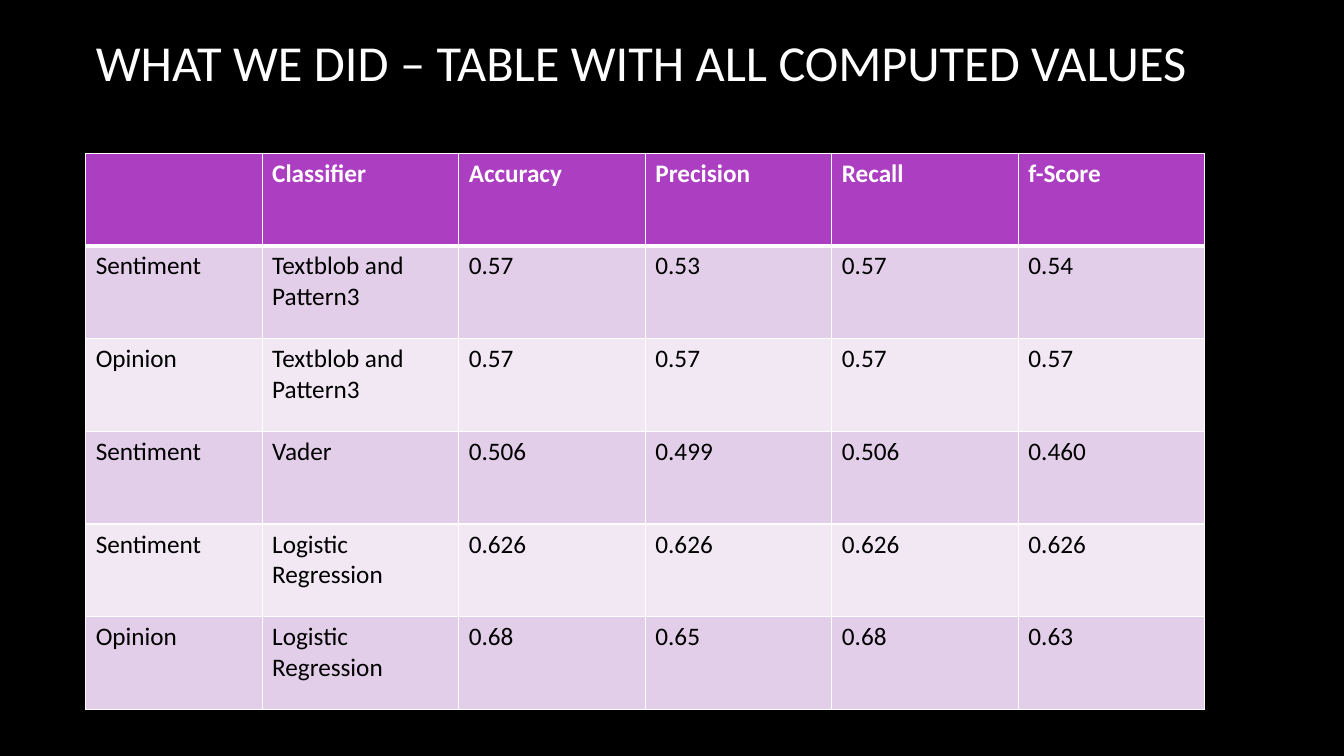
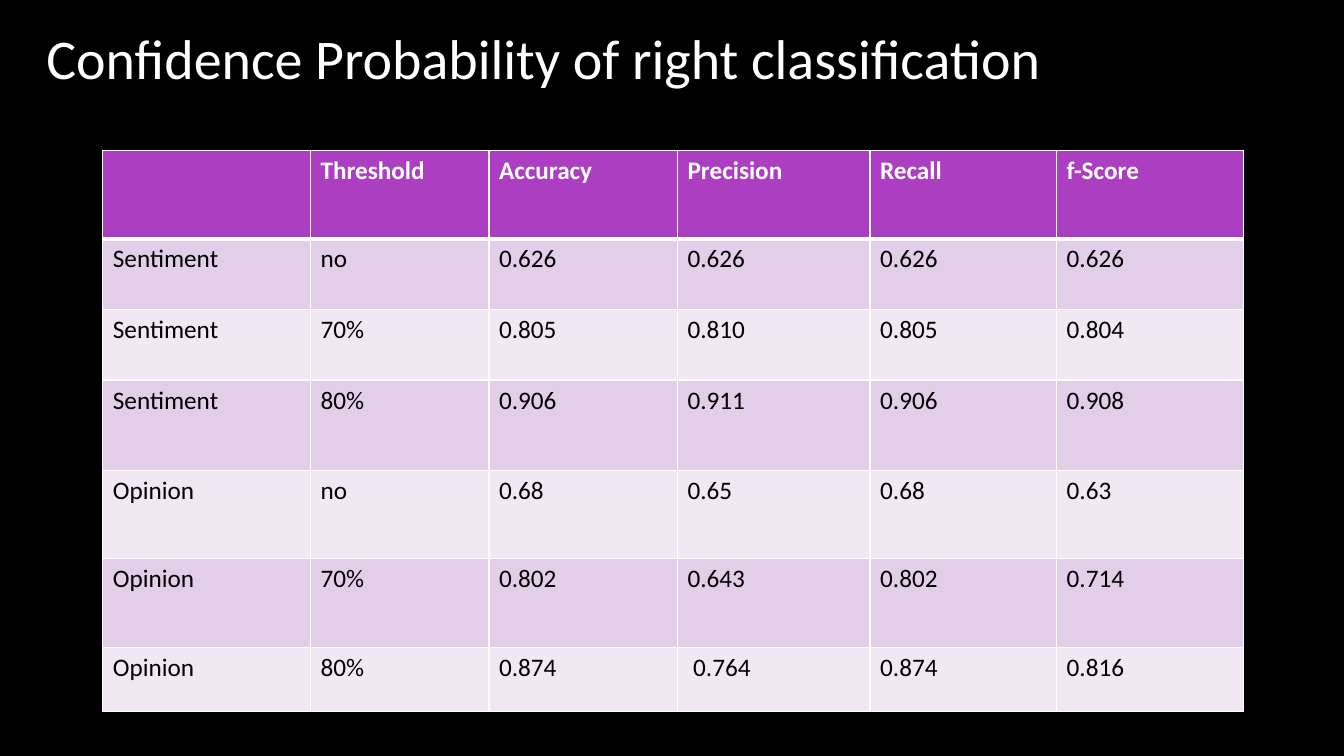
from pptx import Presentation
from pptx.dml.color import RGBColor as RGB
from pptx.enum.text import MSO_ANCHOR as Anchor, MSO_AUTO_SIZE as Fit, PP_ALIGN as Align
from pptx.oxml.ns import qn
from pptx.util import Inches, Pt
from lxml.etree import SubElement as Sub

BLACK = RGB(0x00, 0x00, 0x00)
WHITE = RGB(0xFF, 0xFF, 0xFF)
PURPLE = RGB(0xAC, 0x3E, 0xC1)
LILAC = RGB(0xE3, 0xCE, 0xE9)
PALE = RGB(0xF1, 0xE8, 0xF4)
FONT = "Calibri"
SCORES = ["Accuracy", "Precision", "Recall", "f-Score"]

MODELS = [
    ["", "Classifier"] + SCORES,
    ["Sentiment", "Textblob and Pattern3", "0.57", "0.53", "0.57", "0.54"],
    ["Opinion", "Textblob and Pattern3", "0.57", "0.57", "0.57", "0.57"],
    ["Sentiment", "Vader", "0.506", "0.499", "0.506", "0.460"],
    ["Sentiment", "Logistic Regression", "0.626", "0.626", "0.626", "0.626"],
    ["Opinion", "Logistic Regression", "0.68", "0.65", "0.68", "0.63"],
]
LIMITS = [
    ["", "Threshold"] + SCORES,
    ["Sentiment", "no", "0.626", "0.626", "0.626", "0.626"],
    ["Sentiment", "70%", "0.805", "0.810", "0.805", "0.804"],
    ["Sentiment", "80%", "0.906", "0.911", "0.906", "0.908"],
    ["Opinion", "no", "0.68", "0.65", "0.68", "0.63"],
    ["Opinion", "70%", "0.802", "0.643", "0.802", "0.714"],
    ["Opinion", "80%", "0.874", " 0.764", "0.874", "0.816"],
]


def style(para, size, color, bold=False):
    for run in para.runs:
        font = run.font
        font.name = FONT
        font.size = Pt(size)
        font.bold = bold
        font.color.rgb = color


def add_slide(deck, text, box, size):
    slide = deck.slides.add_slide(deck.slide_layouts[5])
    back = slide.background.fill
    back.solid()
    back.fore_color.rgb = BLACK
    title = slide.shapes.title
    title.left, title.top, title.width, title.height = map(Inches, box)
    frame = title.text_frame
    frame.text = text
    frame.word_wrap = True
    frame.auto_size = Fit.NONE
    frame.vertical_anchor = Anchor.MIDDLE
    para = frame.paragraphs[0]
    para.alignment = Align.LEFT
    style(para, size, WHITE)
    return slide


def set_border(cell, row):
    props = cell._tc.get_or_add_tcPr()
    heavy = {0: "lnB", 1: "lnT"}.get(row)
    for side in ("lnL", "lnR", "lnT", "lnB"):
        width = 3 if side == heavy else 1
        line = Sub(props, qn("a:" + side), w=str(Pt(width)))
        fill = Sub(line, qn("a:solidFill"))
        Sub(fill, qn("a:srgbClr"), val=str(WHITE))


def fill_cell(cell, text, row):
    set_border(cell, row)
    cell.fill.solid()
    cell.fill.fore_color.rgb = PURPLE if row == 0 else (PALE, LILAC)[row % 2]
    cell.text_frame.text = text
    style(cell.text_frame.paragraphs[0], 18, BLACK if row else WHITE, row == 0)


def add_grid(slide, left, top, widths, heights, data):
    size = map(Inches, (left, top, sum(widths), sum(heights)))
    table = slide.shapes.add_table(len(heights), len(widths), *size).table
    for col, width in zip(table.columns, widths):
        col.width = Inches(width)
    for row, height in zip(table.rows, heights):
        row.height = Inches(height)
    for r, values in enumerate(data):
        for c, text in enumerate(values):
            fill_cell(table.cell(r, c), text, r)


def main():
    deck = Presentation()
    deck.slide_width = Inches(13.33)
    deck.slide_height = Inches(7.5)

    slide = add_slide(deck, "WHAT WE DID – TABLE WITH ALL COMPUTED VALUES",
                      (0.85, -0.19, 11.08, 1.59), 36)
    add_grid(slide, 0.85, 1.52, [1.75, 1.95] + [1.85] * 4,
             [0.92] * len(MODELS), MODELS)

    slide = add_slide(deck, "Confidence Probability of right classification",
                      (0.36, 0.18, 10.26, 0.77), 40)
    add_grid(slide, 1.02, 1.49, [2.06, 1.77, 1.87, 1.91, 1.85, 1.85],
             [0.88, 0.7, 0.7, 0.9, 0.87, 0.88, 0.64], LIMITS)

    deck.save("out.pptx")


main()
